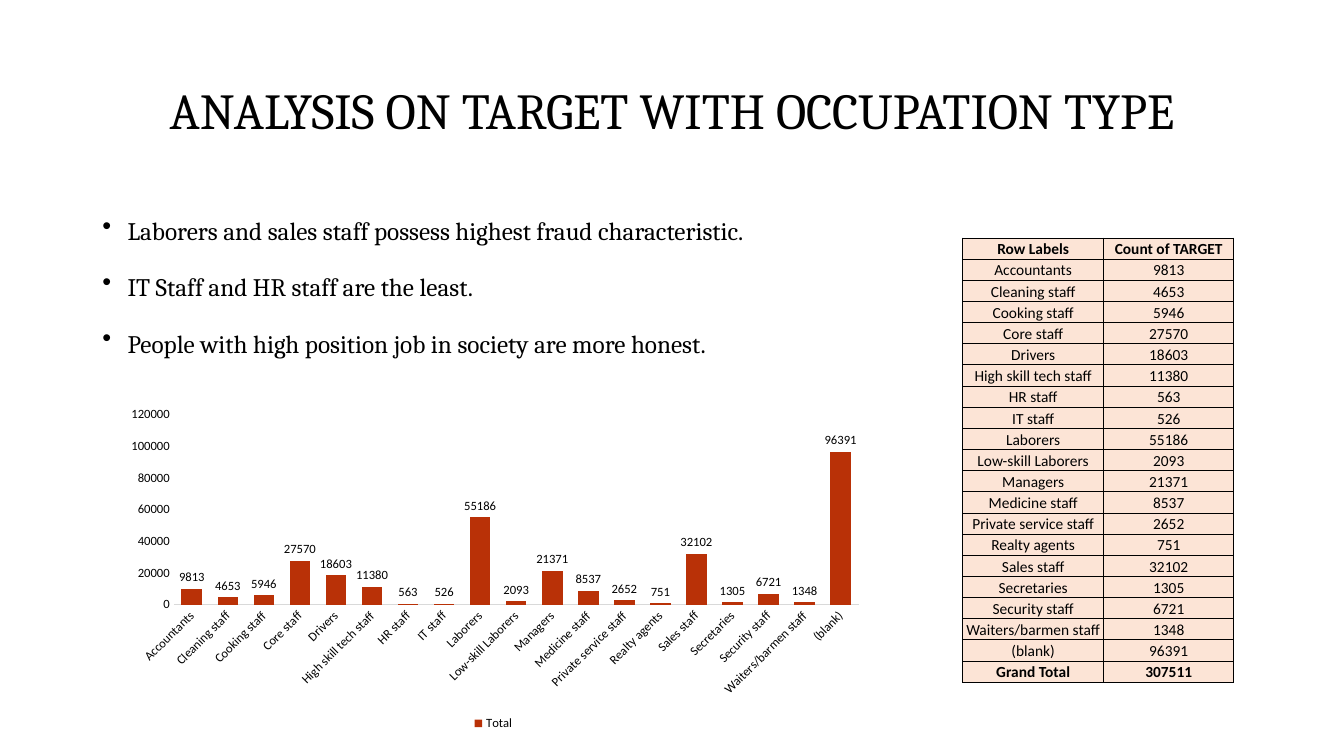
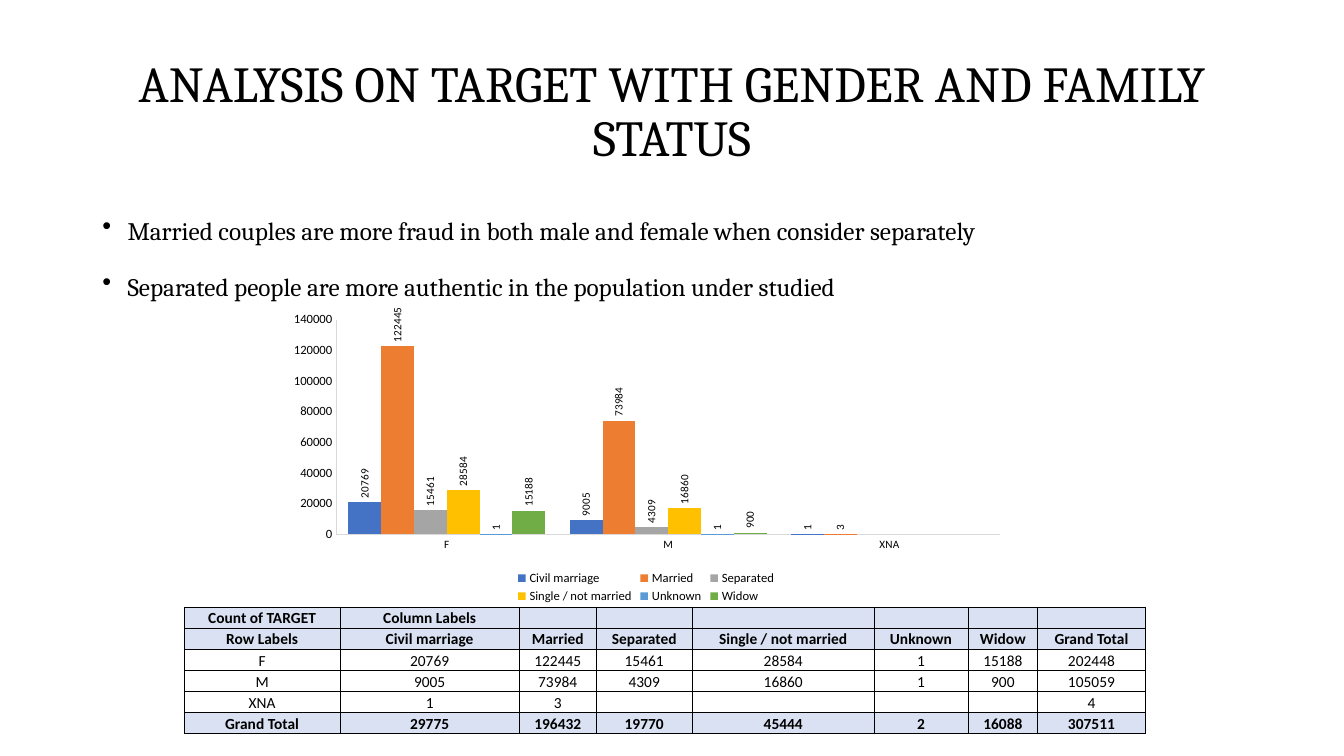
"""Build two slides that analyse TARGET by occupation and by gender and family status."""
from dataclasses import dataclass
from typing import Optional

from lxml.etree import SubElement
from pptx import Presentation
from pptx.chart.data import CategoryChartData
from pptx.dml.color import RGBColor
from pptx.enum.chart import XL_CHART_TYPE, XL_LABEL_POSITION, XL_LEGEND_POSITION, XL_TICK_MARK
from pptx.enum.text import MSO_ANCHOR, PP_ALIGN
from pptx.oxml.ns import qn
from pptx.oxml.xmlchemy import OxmlElement
from pptx.util import Emu, Inches, Pt

WIDTH, HEIGHT = Inches(13.33), Inches(7.5)
COLUMNS, ROWS = 160, 90
BLACK = RGBColor(0x00, 0x00, 0x00)
AXIS_GREY = RGBColor(0xD9, 0xD9, 0xD9)
RUST = RGBColor(0xB9, 0x31, 0x07)
PEACH = RGBColor(0xFC, 0xE4, 0xD6)
PALE_BLUE = RGBColor(0xD9, 0xE1, 0xF2)
STATUS_COLORS = (
    RGBColor(0x44, 0x72, 0xC4), RGBColor(0xED, 0x7D, 0x31), RGBColor(0xA5, 0xA5, 0xA5),
    RGBColor(0xFF, 0xC0, 0x00), RGBColor(0x5B, 0x9B, 0xD5), RGBColor(0x70, 0xAD, 0x47),
)
HEADING_FONT, DATA_FONT = "Cambria", "Calibri"
TABLE_ROW = 2.52

OCCUPATIONS = {
    "Accountants": 9813, "Cleaning staff": 4653, "Cooking staff": 5946, "Core staff": 27570,
    "Drivers": 18603, "High skill tech staff": 11380, "HR staff": 563, "IT staff": 526,
    "Laborers": 55186, "Low-skill Laborers": 2093, "Managers": 21371, "Medicine staff": 8537,
    "Private service staff": 2652, "Realty agents": 751, "Sales staff": 32102,
    "Secretaries": 1305, "Security staff": 6721, "Waiters/barmen staff": 1348, "(blank)": 96391,
}
GENDERS = ("F", "M", "XNA")
STATUSES = {
    "Civil marriage": (20769, 9005, 1),
    "Married": (122445, 73984, 3),
    "Separated": (15461, 4309, None),
    "Single / not married": (28584, 16860, None),
    "Unknown": (1, 1, None),
    "Widow": (15188, 900, None),
}


@dataclass(frozen=True)
class Box:
    """A place in grid columns and rows, or in shares of a chart."""
    left: float
    top: float
    width: float
    height: float

    def emu(self) -> tuple:
        """Return the grid place as slide lengths."""
        return across(self.left), down(self.top), across(self.width), down(self.height)


@dataclass(frozen=True)
class ColumnChart:
    """The data and look of a clustered column chart."""
    box: Box
    plot: Box
    categories: tuple
    series: dict
    colors: tuple
    category_size: int
    label_size: int
    category_angle: int = 0
    label_angle: int = 0
    value_line: bool = False
    legend: Optional[Box] = None


@dataclass(frozen=True)
class Grid:
    """The rows and look of a bordered table."""
    left: float
    top: float
    widths: tuple
    rows: list
    header_rows: int
    fill: RGBColor
    body_fill: Optional[RGBColor] = None


@dataclass(frozen=True)
class Analysis:
    """The content of one slide."""
    title: str
    findings: tuple
    chart: ColumnChart
    grid: Grid


TITLE_BOX = Box(11, 4.8, 138, 17.4)
FINDINGS_BOX = Box(11, 24, 138, 57.1)


def across(columns: float) -> Emu:
    """Turn grid columns into a length."""
    return Emu(round(WIDTH * columns / COLUMNS))


def down(rows: float) -> Emu:
    """Turn grid rows into a length."""
    return Emu(round(HEIGHT * rows / ROWS))


def style(font, size: float, name: str = DATA_FONT, bold: bool = False) -> None:
    """Set a black font."""
    font.size, font.name, font.bold = Pt(size), name, bold
    font.color.rgb = BLACK


def add_frame(slide, box: Box, anchor: MSO_ANCHOR):
    """Add a wrapping text box and return its text frame."""
    frame = slide.shapes.add_textbox(*box.emu()).text_frame
    frame.word_wrap, frame.vertical_anchor = True, anchor
    return frame


def add_title(slide, title: str) -> None:
    """Add the centred slide title."""
    frame = add_frame(slide, TITLE_BOX, MSO_ANCHOR.MIDDLE)
    frame.text = title
    heading = frame.paragraphs[0]
    heading.alignment, heading.line_spacing = PP_ALIGN.CENTER, 0.9
    style(heading.runs[0].font, 36, HEADING_FONT)


def add_findings(slide, findings: tuple) -> None:
    """Add the bulleted findings, each line as tall as its closing space."""
    frame = add_frame(slide, FINDINGS_BOX, MSO_ANCHOR.TOP)
    frame.text = "\n".join(findings)
    for finding in frame.paragraphs:
        finding.line_spacing, finding.space_before = 0.9, Pt(10)
        style(finding.runs[0].font, 18, HEADING_FONT)
        closing = finding.add_run()
        closing.text = " "
        style(closing.font, 28, HEADING_FONT)
        properties = finding._p.get_or_add_pPr()
        properties.set("marL", str(Inches(0.25)))
        properties.set("indent", str(-Inches(0.25)))
        SubElement(properties, qn("a:buFont"), typeface="Arial")
        SubElement(properties, qn("a:buChar"), char="•")


def place(part, shares: Box, index: int, inner: bool = False) -> None:
    """Fix a chart part at shares of the chart's size."""
    layout = part.find(qn("c:layout"))
    if layout is None:
        layout = OxmlElement("c:layout")
        part.insert(index, layout)
    manual = SubElement(layout, qn("c:manualLayout"))
    settings = {"layoutTarget": "inner"} if inner else {}
    settings |= {"xMode": "edge", "yMode": "edge", "x": shares.left, "y": shares.top,
                 "w": shares.width, "h": shares.height}
    for tag, setting in settings.items():
        SubElement(manual, qn(f"c:{tag}"), val=str(setting))


def rotate(part, degrees: int) -> None:
    """Turn the text of an axis or of data labels."""
    body = part.find(qn("c:txPr")).find(qn("a:bodyPr"))
    body.set("rot", str(degrees * 60000))
    body.set("vert", "horz")


def style_axis(axis, size: int, line: bool) -> None:
    """Set an axis without ticks or gridlines."""
    axis.has_major_gridlines = False
    axis.major_tick_mark = axis.minor_tick_mark = XL_TICK_MARK.NONE
    style(axis.tick_labels.font, size)
    if line:
        axis.format.line.color.rgb = AXIS_GREY
        axis.format.line.width = Pt(0.75)
    else:
        axis.format.line.fill.background()


def add_column_chart(slide, content: ColumnChart) -> None:
    """Add a clustered column chart with value labels and a legend."""
    data = CategoryChartData()
    data.categories = content.categories
    for name, counts in content.series.items():
        data.add_series(name, counts)
    chart = slide.shapes.add_chart(
        XL_CHART_TYPE.COLUMN_CLUSTERED, *content.box.emu(), data).chart
    chart.has_title = False
    style(chart.font, 10)
    style_axis(chart.category_axis, content.category_size, True)
    style_axis(chart.value_axis, 9, content.value_line)
    rotate(chart.category_axis._element, content.category_angle)

    plot = chart.plots[0]
    plot.gap_width, plot.overlap, plot.vary_by_categories = 75, 0, False
    for series, color in zip(plot.series, content.colors):
        series.format.fill.solid()
        series.format.fill.fore_color.rgb = color
        series.invert_if_negative = False
        labels = series.data_labels
        labels.show_value, labels.position = True, XL_LABEL_POSITION.OUTSIDE_END
        style(labels.font, content.label_size)
        rotate(labels._element, content.label_angle)

    chart.has_legend = True
    chart.legend.position = XL_LEGEND_POSITION.BOTTOM
    chart.legend.include_in_layout = False
    style(chart.legend.font, 9)
    place(chart._chartSpace.chart.plotArea, content.plot, 0, inner=True)
    if content.legend:
        place(chart.legend._element, content.legend, 1)


def add_borders(cell) -> None:
    """Draw thin black lines on all sides of a cell."""
    properties = cell._tc.get_or_add_tcPr()
    for side in "LRTB":
        line = SubElement(properties, qn(f"a:ln{side}"), w=str(Pt(0.5)))
        fill = SubElement(line, qn("a:solidFill"))
        SubElement(fill, qn("a:srgbClr"), val=str(BLACK))


def fill_cell(cell, entry, bold: bool, fill: Optional[RGBColor]) -> None:
    """Write and format one table cell."""
    cell.text = "" if entry is None else str(entry)
    cell.margin_left = cell.margin_right = cell.margin_top = Inches(0.01)
    cell.margin_bottom = 0
    cell.vertical_anchor = MSO_ANCHOR.BOTTOM
    paragraph = cell.text_frame.paragraphs[0]
    paragraph.alignment = PP_ALIGN.CENTER
    for run in paragraph.runs:
        style(run.font, 11, bold=bold)
    if not paragraph.runs:
        SubElement(paragraph._p, qn("a:endParaRPr"), sz="1100")
    add_borders(cell)
    if fill is None:
        cell.fill.background()
    else:
        cell.fill.solid()
        cell.fill.fore_color.rgb = fill


def add_grid(slide, content: Grid) -> None:
    """Add a bordered table with bold header and total rows."""
    count = len(content.rows)
    box = Box(content.left, content.top, sum(content.widths), count * TABLE_ROW)
    table = slide.shapes.add_table(count, len(content.widths), *box.emu()).table
    table.first_row = table.horz_banding = False
    for column, width in zip(table.columns, content.widths):
        column.width = across(width)
    for index, entries in enumerate(content.rows):
        table.rows[index].height = down(TABLE_ROW)
        strong = index < content.header_rows or index == count - 1
        for column, entry in enumerate(entries):
            fill_cell(table.cell(index, column), entry, strong,
                      content.fill if strong else content.body_fill)


def total(counts) -> int:
    """Add up the counts that are present."""
    return sum(count or 0 for count in counts)


def occupation_analysis() -> Analysis:
    """Describe the slide on occupation type."""
    rows = [("Row Labels", "Count of TARGET"), *OCCUPATIONS.items(),
            ("Grand Total", total(OCCUPATIONS.values()))]
    return Analysis(
        "ANALYSIS ON TARGET WITH OCCUPATION TYPE",
        ("Laborers and sales staff possess highest fraud characteristic.",
         "IT Staff and HR staff are the least.",
         "People with high position job in society are more honest."),
        ColumnChart(Box(13.44, 47.76, 90.6, 39.72), Box(0.08, 0.04, 0.9, 0.57),
                    tuple(OCCUPATIONS), {"Total": tuple(OCCUPATIONS.values())}, (RUST,),
                    category_size=9, label_size=9, category_angle=-45),
        Grid(114.6, 28.32, (16.8, 15.48), rows, 1, PEACH, PEACH))


def family_analysis() -> Analysis:
    """Describe the slide on gender and family status."""
    by_gender = list(zip(*STATUSES.values()))
    totals = [total(counts) for counts in STATUSES.values()]
    rows = [("Count of TARGET", "Column Labels", *[None] * len(STATUSES)),
            ("Row Labels", *STATUSES, "Grand Total"),
            *[(gender, *counts, total(counts)) for gender, counts in zip(GENDERS, by_gender)],
            ("Grand Total", *totals, sum(totals))]
    return Analysis(
        "ANALYSIS ON TARGET WITH GENDER AND FAMILY STATUS",
        ("Married couples are more fraud in both male and female when consider separately",
         "Separated people are more authentic in the population under studied"),
        ColumnChart(Box(33, 36.24, 87.84, 36), Box(0.08, 0.05, 0.9, 0.71),
                    GENDERS, STATUSES, STATUS_COLORS, category_size=8, label_size=8,
                    label_angle=-90, value_line=True, legend=Box(0.32, 0.87, 0.36, 0.13)),
        Grid(21.96, 72.24, (18.5, 21.4, 9.1, 11.5, 21.6, 11.2, 8.3, 12.8), rows, 2, PALE_BLUE))


def main() -> None:
    """Build and save the presentation."""
    presentation = Presentation()
    presentation.slide_width, presentation.slide_height = WIDTH, HEIGHT
    for analysis in (occupation_analysis(), family_analysis()):
        slide = presentation.slides.add_slide(presentation.slide_layouts[6])
        add_title(slide, analysis.title)
        add_findings(slide, analysis.findings)
        add_column_chart(slide, analysis.chart)
        add_grid(slide, analysis.grid)
    presentation.save("out.pptx")


if __name__ == "__main__":
    main()
